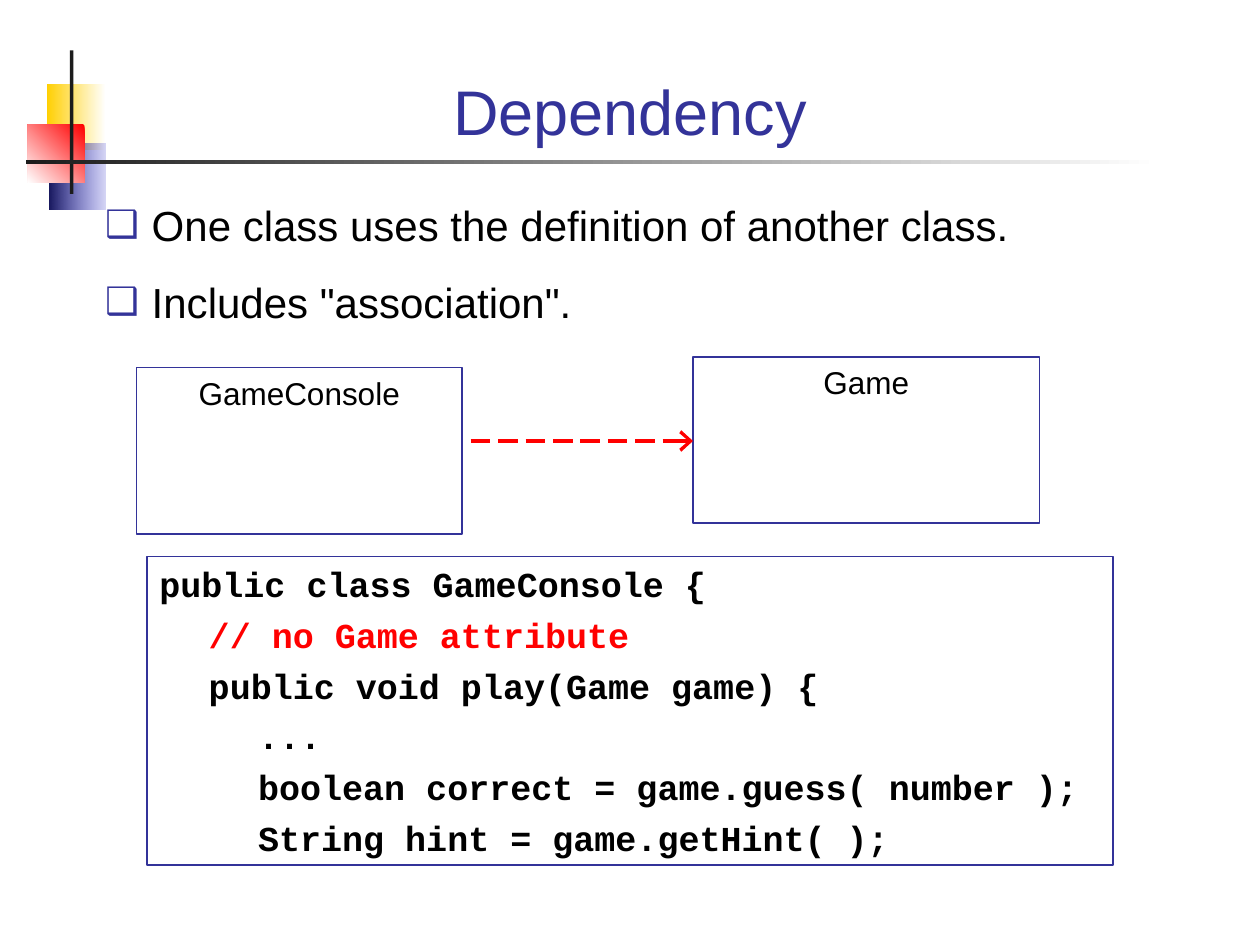
import pptx
import pptx.util
import pptx.dml.color
import pptx.enum.shapes
import pptx.enum.text
import pptx.oxml
import pptx.oxml.ns
from lxml import etree

Pt = pptx.util.Pt
qn = pptx.oxml.ns.qn
RECT = pptx.enum.shapes.MSO_SHAPE.RECTANGLE
ALIGN = pptx.enum.text.PP_ALIGN
ANCHOR = pptx.enum.text.MSO_ANCHOR

COLORS = {
    "navy": "333399", "black": "000000", "red": "FF0000", "white": "FFFFFF",
    "yellow": "FFCF01", "blue": "3333CC", "midnight": "17175E", "charcoal": "1C1C1C",
}


def rgb(name):
    return pptx.dml.color.RGBColor.from_string(COLORS[name])


def add_rect(left, top, width, height, outline=None):
    rect = slide.shapes.add_shape(RECT, Pt(left), Pt(top), Pt(width), Pt(height))
    rect.shadow.inherit = False
    rect.fill.background()
    if outline:
        rect.line.color.rgb = rgb(outline)
        rect.line.width = Pt(1)
    else:
        rect.line.fill.background()
    rect.text_frame.vertical_anchor = ANCHOR.TOP
    return rect


deck = pptx.Presentation()
deck.slide_width, deck.slide_height = Pt(720), Pt(540)
slide = deck.slides.add_slide(deck.slide_layouts[5])

# Corner ornament: gradient squares, upright bar and fading rule
ornament = [
    (26.64, 48.24, 33.84, 37.44, "white", "yellow", 180),
    (28.08, 82.08, 32.4, 37.44, "blue", "midnight", 180),
    (15.84, 71.28, 32.4, 33.12, "red", "white", 225),
    (40, 28.8, 2, 82.08, "charcoal", "charcoal", 180),
    (15.12, 91.44, 647.28, 2, "white", "charcoal", 180),
]
for left, top, width, height, start, end, angle in ornament:
    piece = add_rect(left, top, width, height)
    if start == end:
        piece.fill.solid()
        piece.fill.fore_color.rgb = rgb(start)
        continue
    piece.fill.gradient()
    piece.fill.gradient_angle = angle
    for stop, color, position in zip(piece.fill.gradient_stops, (start, end), (0, 1)):
        stop.color.rgb = rgb(color)
        stop.position = position
    if start == "blue":
        pale = next(piece.element.spPr.iter(qn("a:srgbClr")))
        etree.SubElement(pale, qn("a:alpha"), val="20000")

# Title
title = slide.shapes.title
title.left, title.top, title.width, title.height = Pt(48.24), Pt(20), Pt(623.52), Pt(68)
title.text_frame.text = "Dependency"
title.text_frame.auto_size = pptx.enum.text.MSO_AUTO_SIZE.NONE
title.text_frame.vertical_anchor = ANCHOR.BOTTOM
heading = title.text_frame.paragraphs[0]
heading.alignment = ALIGN.CENTER
heading.font.size = Pt(36)
heading.font.name = "Arial"
heading.font.color.rgb = rgb("navy")

# Bulleted points
points = slide.shapes.add_textbox(Pt(53), Pt(110.4), Pt(623.52), Pt(100)).text_frame
points.word_wrap = True
points.text = 'One class uses the definition of another class.\nIncludes "association".'
for index, point in enumerate(points.paragraphs):
    props = point._p.get_or_add_pPr()
    props.set("marL", str(Pt(26.64)))
    props.set("indent", str(-Pt(26.64)))
    bullet_color = etree.SubElement(props, qn("a:buClr"))
    etree.SubElement(bullet_color, qn("a:srgbClr"), val=COLORS["navy"])
    etree.SubElement(props, qn("a:buSzPct"), val="90000")
    etree.SubElement(props, qn("a:buFont"), typeface="Arial")
    etree.SubElement(props, qn("a:buChar"), char="❑")
    point.space_before = Pt(15 if index else 0)
    point.font.size = Pt(24)
    point.font.name = "Arial"
    point.font.color.rgb = rgb("black")

# Class boxes
for name, left, top, width in [("GameConsole", 78, 210, 186),
                               ("Game", 396, 204, 198)]:
    class_box = add_rect(left, top, width, 95, "navy")
    class_box.text_frame.text = name
    label = class_box.text_frame.paragraphs[0]
    label.alignment = ALIGN.CENTER
    label.font.size = Pt(18)
    label.font.name = "Arial"
    label.font.color.rgb = rgb("black")

# Dashed dependency arrow, dash and gap in thousandths of a percent of the width
dependency = slide.shapes.add_connector(
    pptx.enum.shapes.MSO_CONNECTOR.STRAIGHT, Pt(269), Pt(252), Pt(396), Pt(252))
dependency.line.color.rgb = rgb("red")
dependency.line.width = Pt(2.25)
stroke = dependency.line._get_or_add_ln()
dashes = etree.SubElement(stroke, qn("a:custDash"))
etree.SubElement(dashes, qn("a:ds"), d="500000", sp="200000")
etree.SubElement(stroke, qn("a:tailEnd"), type="arrow", w="lg", len="med")
etree.SubElement(dependency._element.spPr, qn("a:effectLst"))

# Code listing, indented with tab stops
code = add_rect(84, 318, 552, 176.4, "navy").text_frame
code.word_wrap = True
code.text = "\n".join([
    "public class GameConsole {",
    "\t// no Game attribute",
    "\tpublic void play(Game game) {",
    "\t\t...",
    "\t\tboolean correct = game.guess( number );",
    "\t\tString hint = game.getHint( );",
])
for index, line in enumerate(code.paragraphs):
    tab_list = etree.SubElement(line._p.get_or_add_pPr(), qn("a:tabLst"))
    for level in (1, 2):
        etree.SubElement(tab_list, qn("a:tab"), pos=str(Pt(28.2 * level)), algn="l")
    line.alignment = ALIGN.LEFT
    line.space_before = Pt(5 if index else 0)
    line.font.size = Pt(20)
    line.font.name = "Courier New"
    line.font.bold = True
    line.font.color.rgb = rgb("red" if "//" in line.text else "black")

deck.save("out.pptx")
